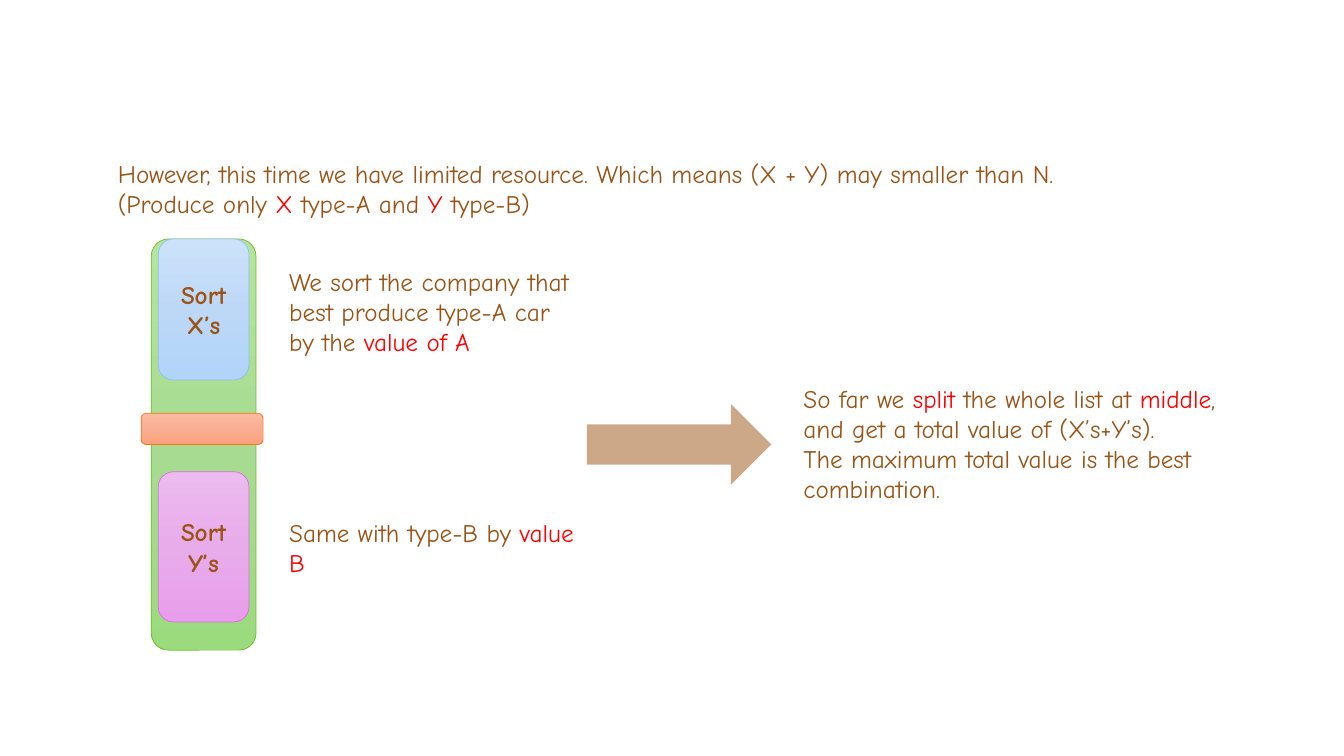
from copy import deepcopy
from dataclasses import dataclass

from lxml.etree import SubElement
from pptx import Presentation
from pptx.dml.color import RGBColor
from pptx.enum.shapes import MSO_SHAPE
from pptx.enum.text import MSO_ANCHOR, MSO_AUTO_SIZE, PP_ALIGN
from pptx.oxml.ns import qn
from pptx.util import Emu, Pt

EMU_PER_PX = 9144


@dataclass(frozen=True)
class Theme:
    font: str = "Comic Neue"
    text_size: int = 18
    line_width: float = 0.5
    brown: str = "9A5315"
    red: str = "FF0000"
    arrow_opacity: int = 50
    green: tuple = ("B4E59F", "A8DB92", "9BDB7E", "6DC025")
    orange: tuple = ("FBBAA0", "F9AE92", "FDA17D", "F3771A")
    blue: tuple = ("CCE2FA", "BDD8F7", "B2D4F9", "8BBEF1")
    pink: tuple = ("EDBBEF", "E8ACEB", "E89EEB", "DA6FDF")


THEME = Theme()


def px(*lengths):
    return [Emu(length * EMU_PER_PX) for length in lengths]


def rgb(code):
    return RGBColor.from_string(code)


def add_span(para, text, color=THEME.brown, bold=False):
    span = para.add_run()
    span.text = text
    span.font.name = THEME.font
    span.font.size = Pt(THEME.text_size)
    span.font.color.rgb = rgb(color)
    span.font.bold = bold


def paragraphs(frame, count):
    yield frame.paragraphs[0]
    for _ in range(count - 1):
        yield frame.add_paragraph()


def add_note(page, place, lines):
    frame = page.shapes.add_textbox(*px(*place)).text_frame
    frame.word_wrap = True
    frame.auto_size = MSO_AUTO_SIZE.SHAPE_TO_FIT_TEXT
    for para, line in zip(paragraphs(frame, len(lines)), lines):
        for index, text in enumerate(line):
            add_span(para, text, THEME.red if index % 2 else THEME.brown)


def fill_gradient(box, colors):
    box.fill.gradient()
    box.fill.gradient_angle = 270
    stops = box._element.spPr.find(qn("a:gradFill")).find(qn("a:gsLst"))
    stops.insert(1, deepcopy(stops[0]))
    for index, (stop, color) in enumerate(zip(box.fill.gradient_stops, colors)):
        stop.position = index / 2
        stop.color.rgb = rgb(color)


def add_block(page, place, palette, lines=()):
    box = page.shapes.add_shape(MSO_SHAPE.ROUNDED_RECTANGLE, *px(*place))
    box.shadow.inherit = False
    *gradient, outline = palette
    fill_gradient(box, gradient)
    box.line.color.rgb = rgb(outline)
    box.line.width = Pt(THEME.line_width)
    frame = box.text_frame
    frame.vertical_anchor = MSO_ANCHOR.MIDDLE
    if lines:
        for para, text in zip(paragraphs(frame, len(lines)), lines):
            para.alignment = PP_ALIGN.CENTER
            add_span(para, text, bold=True)


def add_arrow(page, place):
    arrow = page.shapes.add_shape(MSO_SHAPE.RIGHT_ARROW, *px(*place))
    arrow.shadow.inherit = False
    arrow.fill.solid()
    arrow.fill.fore_color.rgb = rgb(THEME.brown)
    arrow.line.fill.background()
    color = arrow._element.spPr.find(qn("a:solidFill"))[0]
    SubElement(color, qn("a:alpha"), val=str(THEME.arrow_opacity * 1000))


def main():
    deck = Presentation()
    deck.slide_width, deck.slide_height = px(1333, 750)
    page = deck.slides.add_slide(deck.slide_layouts[6])

    add_note(page, (107, 152, 1080, 71), [
        ["However, this time we have limited resource. Which means (X + Y) may smaller than N."],
        ["(Produce only ", "X", " type-A and ", "Y", " type-B)"],
    ])

    add_block(page, (150, 237, 104, 408), THEME.green)
    add_block(page, (140, 410, 121, 31), THEME.orange)
    add_block(page, (157, 237, 90, 140), THEME.blue, ["Sort", "X’s"])
    add_block(page, (157, 468, 90, 149), THEME.pink, ["Sort", "Y’s"])

    add_note(page, (277, 259, 305, 101), [
        ["We sort the company that best produce type-A car by the ", "value of A"],
    ])
    add_note(page, (277, 508, 316, 71), [["Same with type-B by ", "value B"]])

    add_arrow(page, (582, 401, 183, 80))
    add_note(page, (787, 375, 475, 131), [
        ["So far we ", "split", " the whole list at ", "middle",
         ", and get a total value of (X’s+Y’s)."],
        ["The maximum total value is the best combination."],
    ])

    deck.save("out.pptx")


if __name__ == "__main__":
    main()
